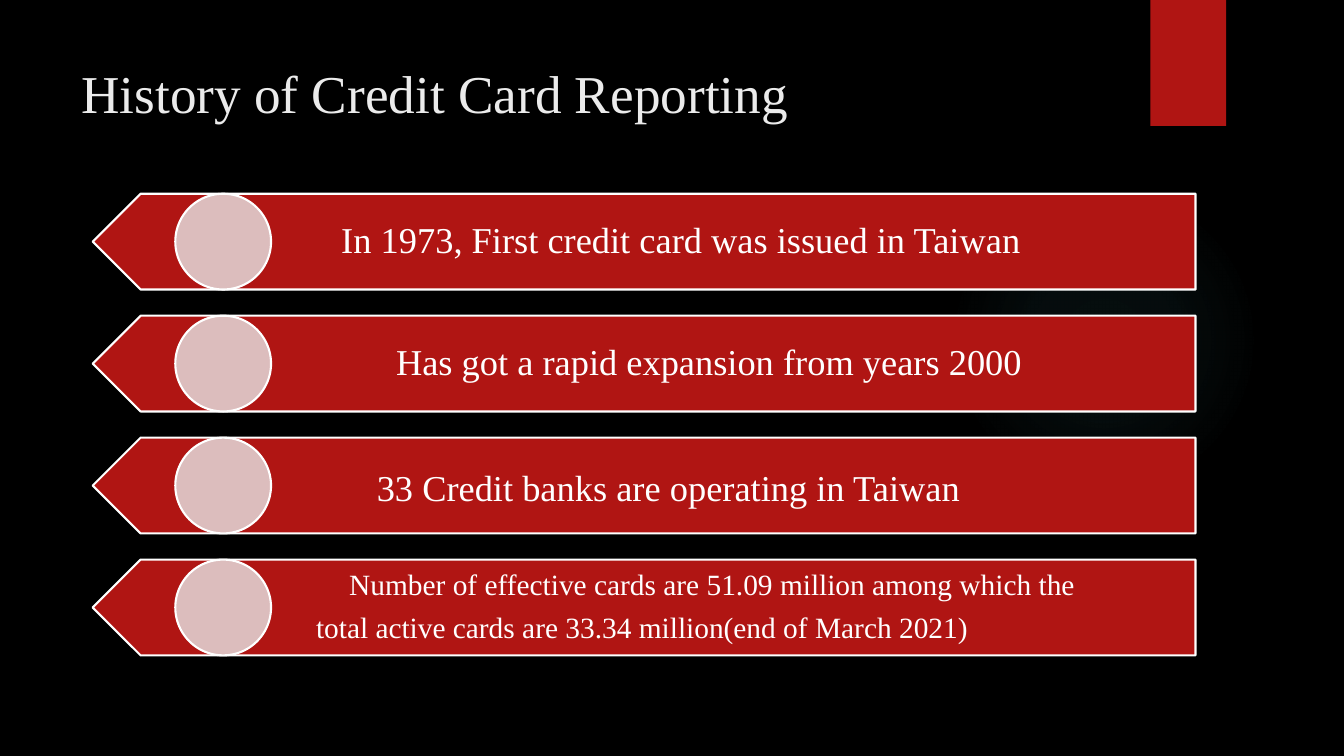
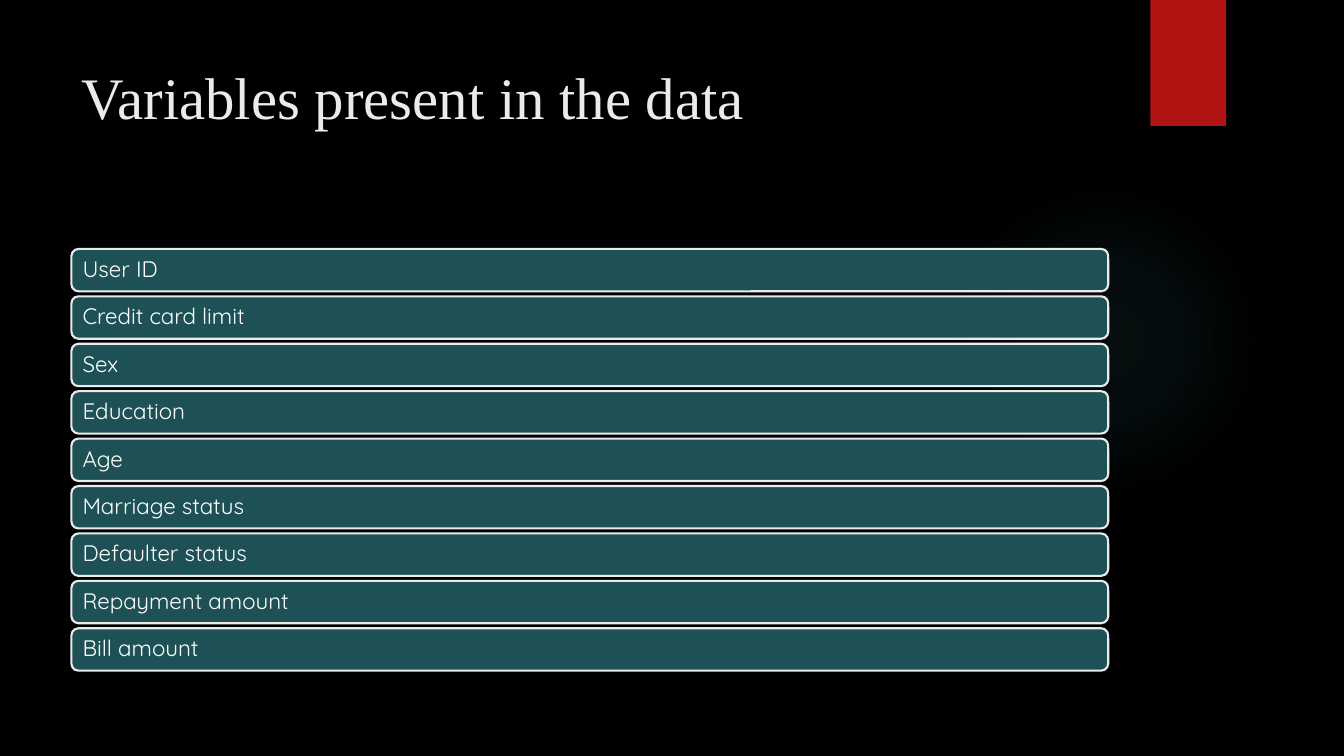
from dataclasses import dataclass
from typing import Optional

from pptx import Presentation
from pptx.dml.color import RGBColor
from pptx.enum import shapes, text
from pptx.oxml import ns, parse_xml
from pptx.util import Pt

COLOURS = {
    "background": "000000",
    "title": "EBEBEB",
    "accent": "B01513",
    "glow": "50B9C1",
    "marker": "DCBDBD",
    "bar": "1E5155",
    "white": "FFFFFF",
}
SERIF = "Times New Roman"
SANS = "Quicksand"
OUTLINE = 1.5


@dataclass(frozen=True)
class Box:
    left: float
    top: float
    width: float
    height: float

    def lengths(self) -> list:
        return [Pt(value) for value in (self.left, self.top, self.width, self.height)]


@dataclass(frozen=True)
class Line:
    words: str
    indent: float


@dataclass(frozen=True)
class Milestone:
    lines: tuple[Line, ...]
    size: float = 26
    drop: float = 0


MILESTONES = (
    Milestone((Line("In 1973, First credit card was issued in Taiwan", 56),)),
    Milestone((Line("Has got a rapid expansion from years 2000", 96),)),
    Milestone((Line("33 Credit banks are operating in Taiwan", 38),), drop=6),
    Milestone(
        (
            Line("Number of effective cards are 51.09 million among which the", 100),
            Line("total active cards are 33.34 million(end of March 2021)", 0),
        ),
        size=21,
    ),
)
VARIABLES = (
    "User ID",
    "Credit card limit",
    "Sex",
    "Education",
    "Age",
    "Marriage status",
    "Defaulter status",
    "Repayment amount",
    "Bill amount",
)


def colour(name: str) -> RGBColor:
    return RGBColor.from_string(COLOURS[name])


def add_run(paragraph, words: str, font: str, size: float, colour_name: str) -> None:
    run = paragraph.add_run()
    run.text = words
    run.font.name = font
    run.font.size = Pt(size)
    run.font.color.rgb = colour(colour_name)


def draw_shape(slide, kind, box: Box, fill: Optional[str], line: Optional[str] = None):
    shape = slide.shapes.add_shape(kind, *box.lengths())
    shape.shadow.inherit = False
    if fill:
        shape.fill.solid()
        shape.fill.fore_color.rgb = colour(fill)
    else:
        shape.fill.background()
    if line:
        shape.line.color.rgb = colour(line)
        shape.line.width = Pt(OUTLINE)
    else:
        shape.line.fill.background()
    return shape


def set_frame(frame, left: float, top: float, right: float, bottom: float, anchor) -> None:
    frame.word_wrap = True
    frame.vertical_anchor = anchor
    frame.margin_left, frame.margin_top = Pt(left), Pt(top)
    frame.margin_right, frame.margin_bottom = Pt(right), Pt(bottom)


def draw_glow(slide):
    glow = draw_shape(slide, shapes.MSO_SHAPE.OVAL, Box(677.5, 131.8, 221.8, 221.8), None)
    stops = "".join(
        f'<a:gs pos="{position * 1000}"><a:srgbClr val="{COLOURS["glow"]}">'
        f'<a:alpha val="{alpha * 1000}"/></a:srgbClr></a:gs>'
        for position, alpha in ((0, 7), (36, 6), (69, 0))
    )
    gradient = parse_xml(
        f'<a:gradFill {ns.nsdecls("a")}><a:gsLst>{stops}</a:gsLst><a:path path="circle">'
        '<a:fillToRect l="50000" t="50000" r="50000" b="50000"/></a:path></a:gradFill>'
    )
    properties = glow.element.spPr
    properties.replace(properties.find(ns.qn("a:noFill")), gradient)
    return glow


def style_layout(presentation, layout, slide) -> None:
    background = presentation.slide_master.background.fill
    background.solid()
    background.fore_color.rgb = colour("background")
    title, *others = layout.placeholders
    for placeholder in others:
        placeholder.element.getparent().remove(placeholder.element)
    title.left, title.top, title.width, title.height = Box(51, 36, 741, 110).lengths()
    set_frame(title.text_frame, 7.2, 7.2, 7.2, 3.6, text.MSO_ANCHOR.TOP)
    ribbon_box = Box(821.8, 0, 54, 90)
    decorations = [
        draw_glow(slide),
        draw_shape(slide, shapes.MSO_SHAPE.RECTANGLE, ribbon_box, "accent"),
    ]
    for decoration in decorations:
        layout.shapes.element.append(decoration.element)


def set_title(slide, words: str, size: float) -> None:
    paragraph = slide.shapes.title.text_frame.paragraphs[0]
    paragraph.alignment = text.PP_ALIGN.LEFT
    add_run(paragraph, words, SERIF, size, "title")


def draw_milestone(slide, milestone: Milestone, top: float) -> None:
    height = 68.4
    arrow_box = Box(66.2, top, 787.7, height)
    arrow = draw_shape(slide, shapes.MSO_SHAPE.PENTAGON, arrow_box, "accent", "white")
    arrow.rotation = 180
    label = slide.shapes.add_textbox(*Box(83.5, top, 770.4, height).lengths())
    set_frame(label.text_frame, 0, milestone.drop, 20, 0, text.MSO_ANCHOR.MIDDLE)
    for index, line in enumerate(milestone.lines):
        frame = label.text_frame
        paragraph = frame.add_paragraph() if index else frame.paragraphs[0]
        paragraph.alignment = text.PP_ALIGN.CENTER
        paragraph.line_spacing = 0.9
        if index:
            paragraph.space_before = Pt(8)
        paragraph._p.get_or_add_pPr().set("marL", str(Pt(line.indent)))
        add_run(paragraph, line.words, SERIF, milestone.size, "white")
    marker_box = Box(125.2, top, height, height)
    draw_shape(slide, shapes.MSO_SHAPE.OVAL, marker_box, "marker", "white")


def draw_variable(slide, name: str, top: float) -> None:
    box = Box(51, top, 740.6, 30.3)
    bar = draw_shape(slide, shapes.MSO_SHAPE.ROUNDED_RECTANGLE, box, "bar", "title")
    set_frame(bar.text_frame, 6.5, 0, 6.5, 0, text.MSO_ANCHOR.MIDDLE)
    paragraph = bar.text_frame.paragraphs[0]
    paragraph.alignment = text.PP_ALIGN.LEFT
    paragraph.line_spacing = 0.9
    add_run(paragraph, name, SANS, 16, "white")


def main() -> None:
    presentation = Presentation()
    presentation.slide_width, presentation.slide_height = Pt(960), Pt(540)
    layout = presentation.slide_layouts[5]

    history = presentation.slides.add_slide(layout)
    style_layout(presentation, layout, history)
    set_title(history, "History of Credit Card Reporting", 38)
    for index, milestone in enumerate(MILESTONES):
        draw_milestone(history, milestone, 138.4 + index * 87.1)

    variables = presentation.slides.add_slide(layout)
    set_title(variables, "Variables present in the data", 42)
    for index, name in enumerate(VARIABLES):
        draw_variable(variables, name, 177.8 + index * 33.87)

    presentation.save("out.pptx")


if __name__ == "__main__":
    main()
